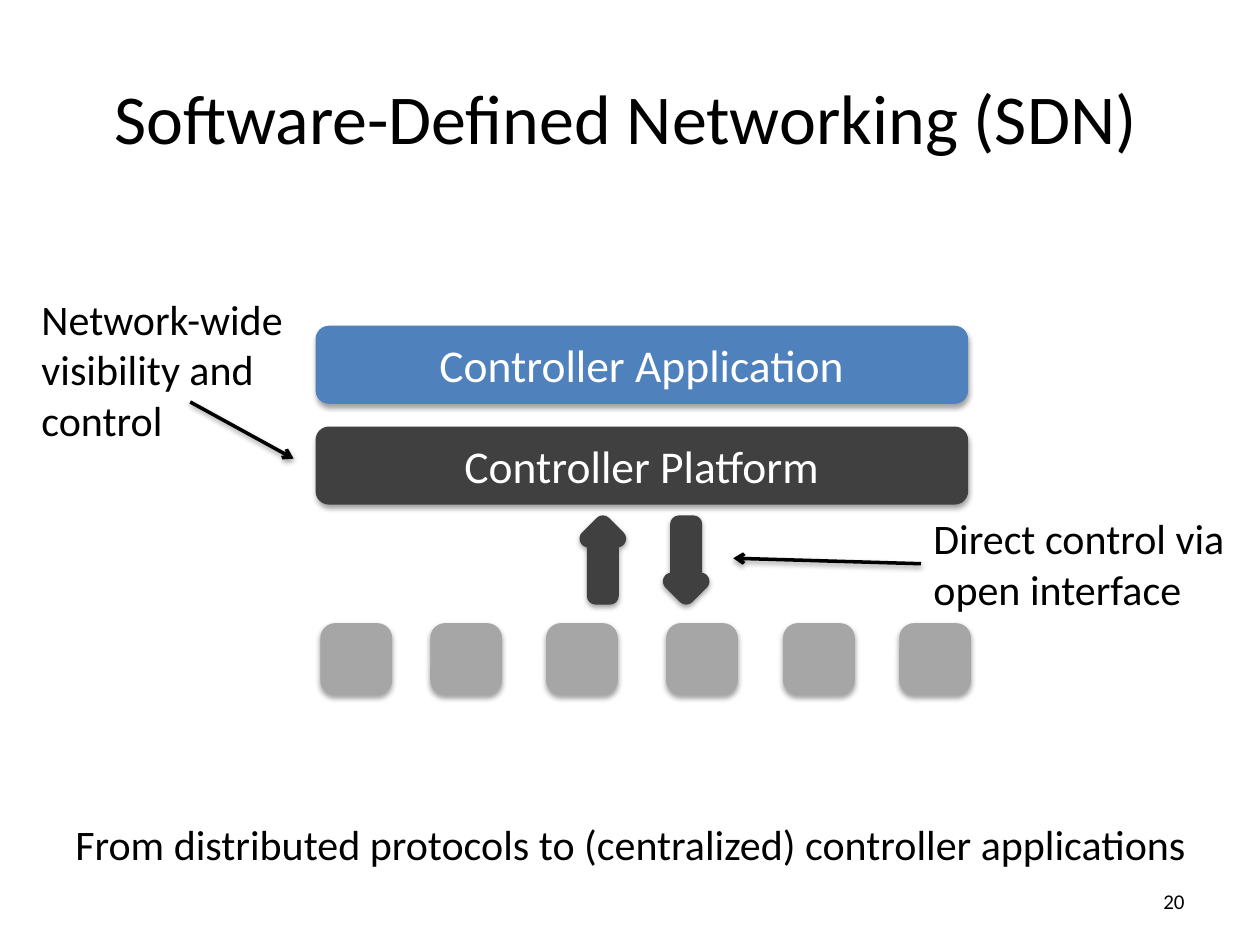
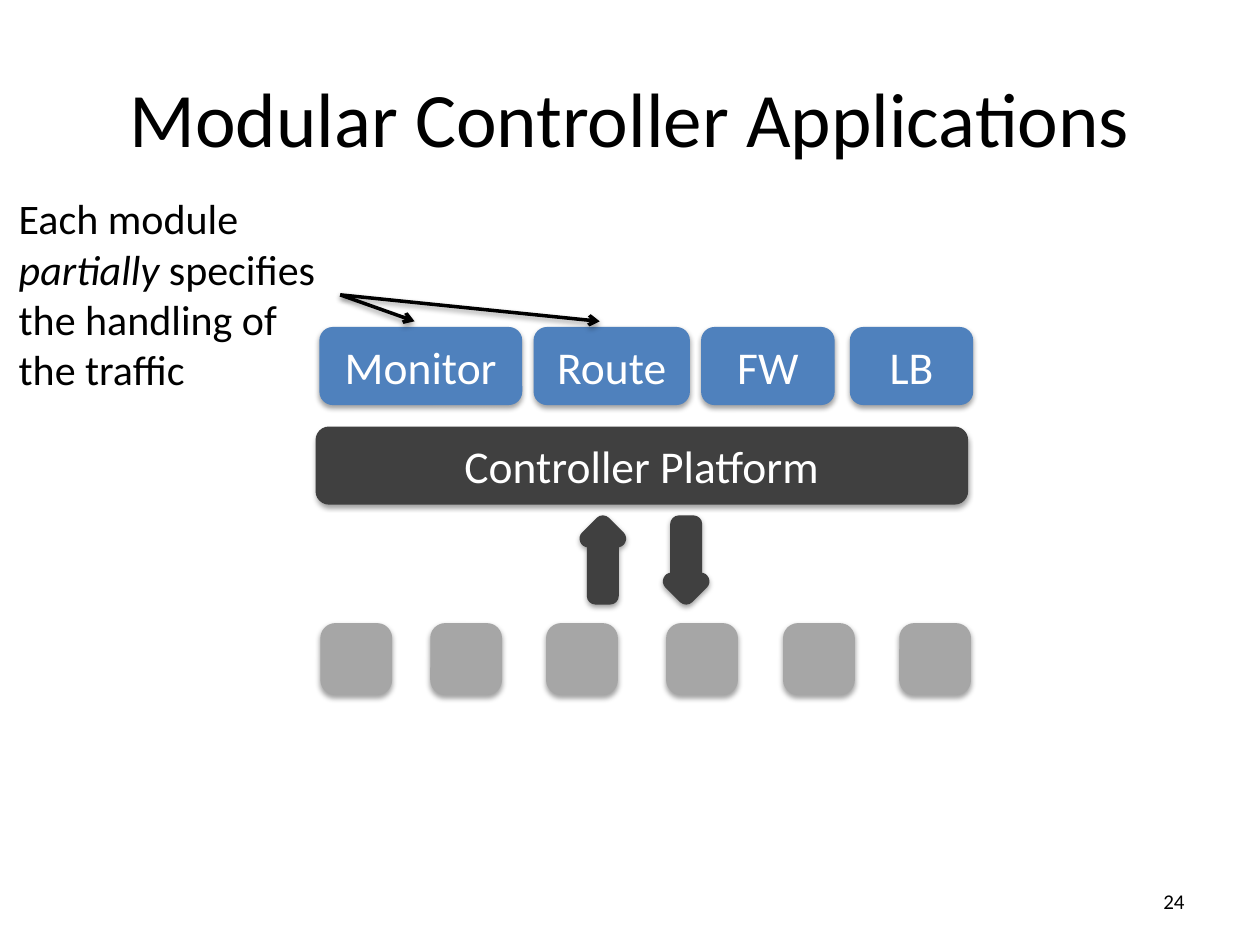
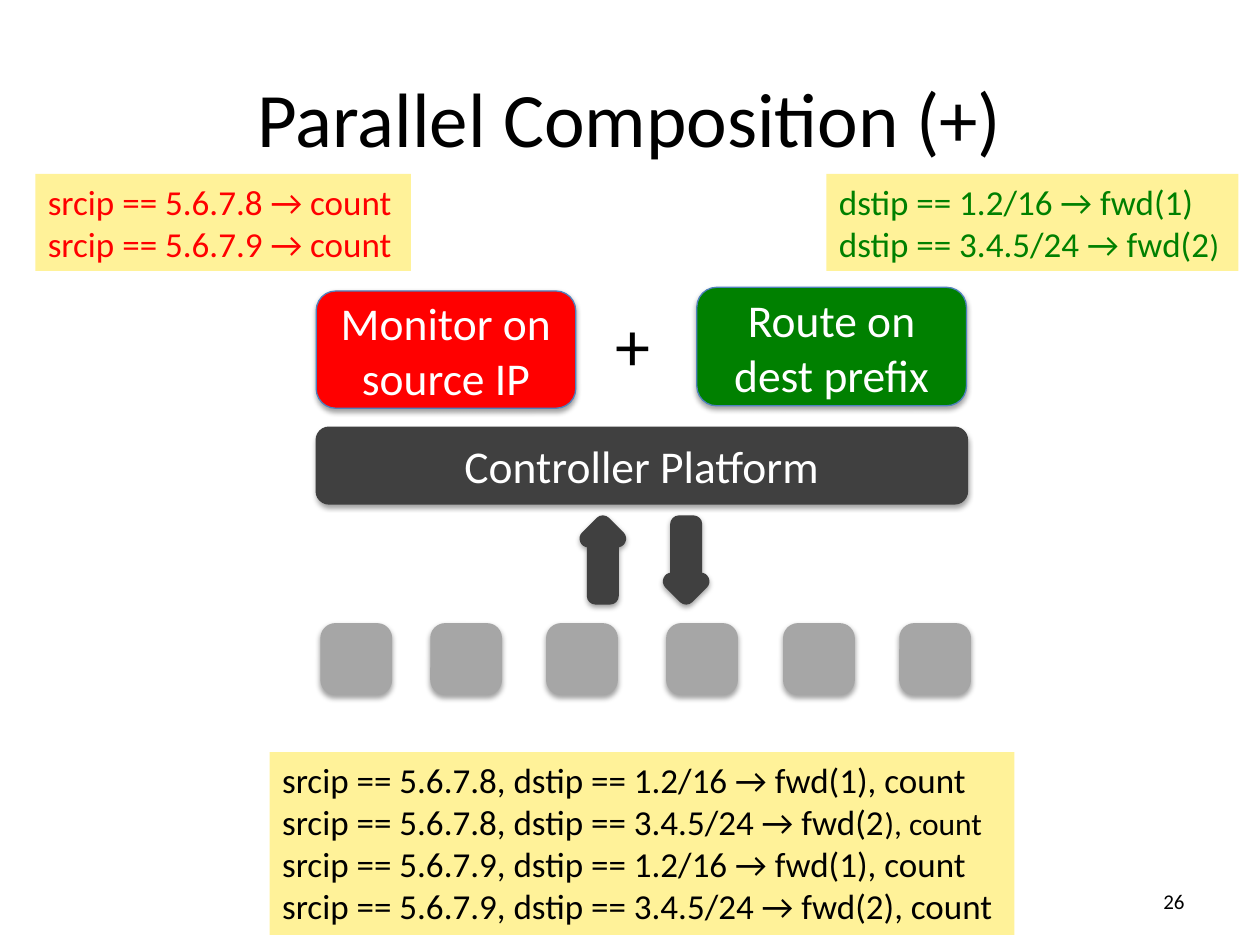
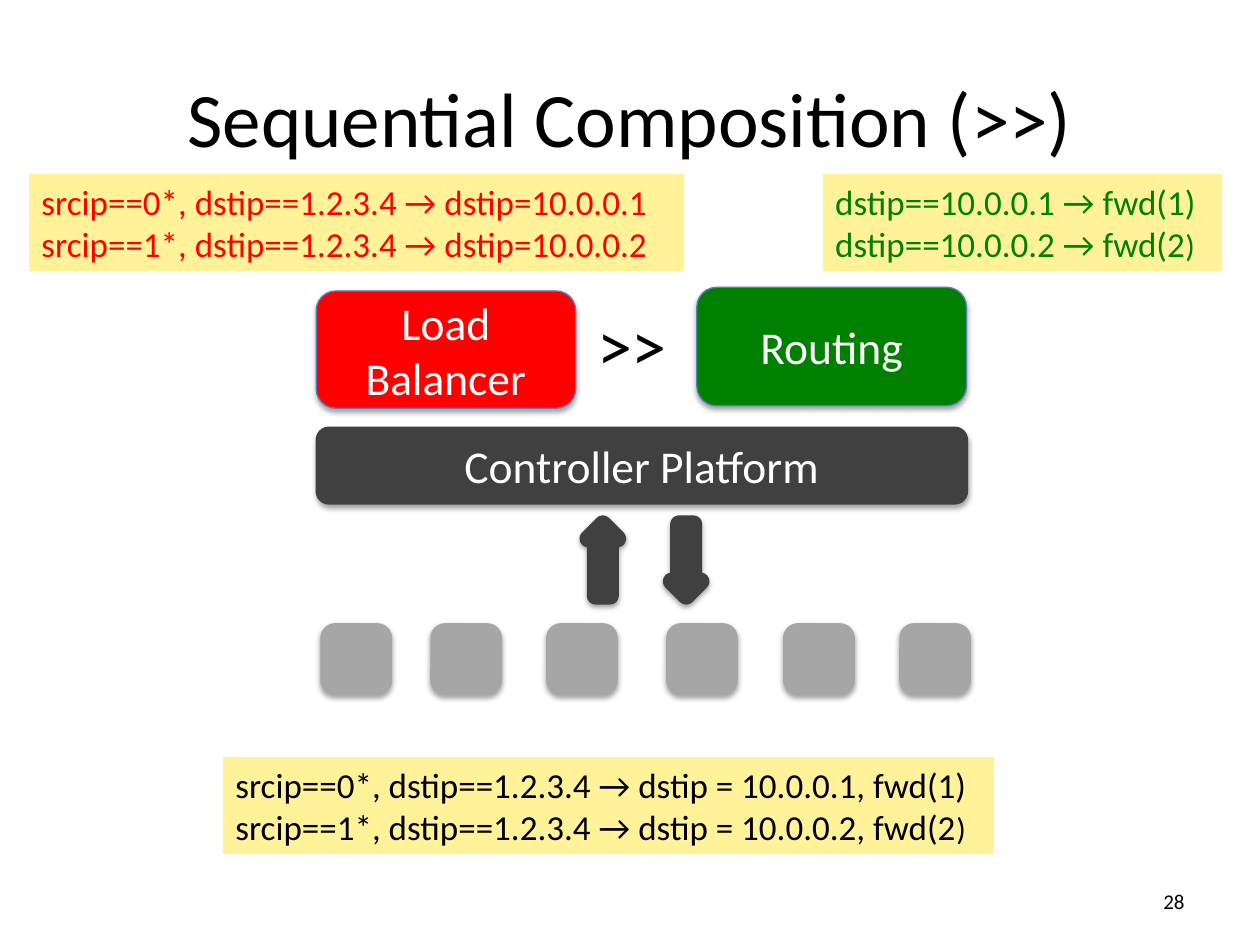
from dataclasses import dataclass

from pptx import Presentation
from pptx.dml.color import RGBColor
from pptx.enum.shapes import MSO_CONNECTOR, MSO_SHAPE
from pptx.enum.text import MSO_ANCHOR, MSO_AUTO_SIZE, PP_ALIGN
from pptx.oxml import parse_xml
from pptx.oxml.ns import nsdecls
from pptx.util import Pt

ROUNDED = MSO_SHAPE.ROUNDED_RECTANGLE
UP_ARROW = MSO_SHAPE.UP_ARROW
STRAIGHT = MSO_CONNECTOR.STRAIGHT
LEFT, CENTER, RIGHT = PP_ALIGN.LEFT, PP_ALIGN.CENTER, PP_ALIGN.RIGHT
TOP, MIDDLE = MSO_ANCHOR.TOP, MSO_ANCHOR.MIDDLE
GROW, FIXED = MSO_AUTO_SIZE.SHAPE_TO_FIT_TEXT, MSO_AUTO_SIZE.NONE
LEFT_SIDE, RIGHT_SIDE = 1, 3


@dataclass(frozen=True)
class Theme:
    font: str = "Calibri"
    black: str = "000000"
    white: str = "FFFFFF"
    blue: str = "4F81BD"
    dark: str = "404040"
    gray: str = "A6A6A6"
    red: str = "FF0000"
    green: str = "008000"
    yellow: str = "FFF299"
    title: int = 44
    long_title: int = 40
    operator: int = 40
    block: int = 26
    note: int = 24
    code: int = 20
    small_code: int = 18
    number: int = 12


theme = Theme()


def add_text(slide, box, text="", preset=None, fill=None, line=None, line_width=0.75,
             size=theme.block, color=theme.black, align=LEFT, anchor=TOP, wrap=True, fit=FIXED):
    """Add a text box, or a preset shape with a shadow.

    Text is a string or a list of paragraphs; a paragraph is a string or a list
    of runs, and a run is a string or a pair of string and font settings.
    """
    lengths = [Pt(length) for length in box]
    if preset is None:
        shape = slide.shapes.add_textbox(*lengths)
    else:
        shape = slide.shapes.add_shape(preset, *lengths)
        shape.line.color.rgb = RGBColor.from_string(line)
        shape.line.width = Pt(line_width)
        add_shadow(shape)
    if fill:
        shape.fill.solid()
        shape.fill.fore_color.rgb = RGBColor.from_string(fill)
    frame = shape.text_frame
    frame.word_wrap, frame.auto_size, frame.vertical_anchor = wrap, fit, anchor
    for index, runs in enumerate([text] if isinstance(text, str) else text):
        paragraph = frame.add_paragraph() if index else frame.paragraphs[0]
        paragraph.alignment = align
        for piece in [runs] if isinstance(runs, str) else runs:
            words, settings = (piece, {}) if isinstance(piece, str) else piece
            if words:
                run = paragraph.add_run()
                run.text = words
                run.font.name = theme.font
                run.font.size = Pt(settings.get("size", size))
                run.font.italic = settings.get("italic")
                run.font.color.rgb = RGBColor.from_string(color)
    return shape


def add_shadow(shape):
    shape._element.spPr.append(parse_xml(
        f'<a:effectLst {nsdecls("a")}><a:outerShdw blurRad="{Pt(3.1)}" dist="{Pt(1.7)}" '
        'dir="5400000" rotWithShape="0"><a:srgbClr val="000000"><a:alpha val="36000"/>'
        '</a:srgbClr></a:outerShdw></a:effectLst>'))


presentation = Presentation()
presentation.slide_width, presentation.slide_height = Pt(720), Pt(540)

# Shared frame: title, slide number, controller platform and switches
title_box = (36, 21.6, 648, 90)
long_title_box = (7.9, 21.6, 699.1, 90)
block_style = dict(preset=ROUNDED, color=theme.white, align=CENTER, anchor=MIDDLE)
note_style = dict(size=theme.note, fit=GROW)
switch_lefts = (185.6, 248.4, 314.6, 383.2, 450, 516.4)

slides = []
for title, number, box, size in (
    ("Software-Defined Networking (SDN)", "20", long_title_box, theme.long_title),
    ("Modular Controller Applications", "24", title_box, theme.title),
    ("Parallel Composition (+)", "26", title_box, theme.title),
    ("Sequential Composition (>>)", "28", title_box, theme.title),
):
    slide = presentation.slides.add_slide(presentation.slide_layouts[6])
    add_text(slide, box, title, size=size, align=CENTER, anchor=MIDDLE)
    add_text(slide, (516.2, 500.4, 167.8, 28.8), number, size=theme.number,
             align=RIGHT, anchor=MIDDLE)
    add_text(slide, (180.7, 244.1, 372.2, 43.9), "Controller Platform",
             fill=theme.dark, line=theme.dark, **block_style)
    for left, rotation in ((336.2, 0), (383.8, 180)):
        arrow = add_text(slide, (left, 299.5, 16.6, 41), preset=UP_ARROW,
                         fill=theme.dark, line=theme.dark, line_width=10)
        arrow.rotation = rotation
    for left in switch_lefts:
        add_text(slide, (left, 358.6, 36, 36), preset=ROUNDED,
                 fill=theme.gray, line=theme.gray, line_width=5)
    slides.append(slide)
sdn_slide, modular_slide, parallel_slide, sequential_slide = slides

# Software-defined networking
add_text(sdn_slide, (180.7, 186.5, 372.2, 43.9), "Controller Application",
         fill=theme.blue, line=theme.blue, **block_style)
add_text(sdn_slide, (16.6, 164.2, 185.8, 94.3), "Network-wide visibility and control", **note_style)
interface_note = add_text(sdn_slide, (526.3, 289.4, 225.4, 65.5),
                          "Direct control via open interface", **note_style)
add_text(sdn_slide, (36, 464.4, 660.2, 36),
         "From distributed protocols to (centralized) controller applications",
         wrap=False, **note_style)

# Modular controller applications
for name, left, width in (("Monitor", 182.9, 115.2), ("Route", 305.3, 88.6),
                          ("FW", 401, 75.6), ("LB", 486, 69.8)):
    add_text(modular_slide, (left, 187.2, width, 43.9), name,
             fill=theme.blue, line=theme.blue, **block_style)
module_note = add_text(
    modular_slide, (3.6, 106.6, 190.8, 123.8),
    [["Each module ", ("partially", {"italic": True}), " specifies the handling of the traffic"]],
    **note_style)

# Arrows from the notes
for slide, start, end, note, side in (
    (sdn_slide, (108.7, 229.7), (167.8, 262.1), None, None),
    (sdn_slide, (526.3, 322.2), (419, 319), interface_note, LEFT_SIDE),
    (modular_slide, (194.4, 168.5), (236.9, 183.6), module_note, RIGHT_SIDE),
    (modular_slide, (194.4, 168.5), (342.7, 183.6), module_note, RIGHT_SIDE),
):
    connector = slide.shapes.add_connector(STRAIGHT, *[Pt(length) for length in start + end])
    if note is not None:
        connector.begin_connect(note, side)
    connector.line.color.rgb = RGBColor.from_string(theme.black)
    connector.line.width = Pt(2)
    connector.line._get_or_add_ln().append(
        parse_xml(f'<a:tailEnd {nsdecls("a")} type="arrow"/>'))
    add_shadow(connector)

# Parallel and sequential composition
small_bracket = (")", {"size": theme.small_code})
for slide, first, operator, operator_box, second, rules in (
    (parallel_slide, "Monitor on source IP", "+", (344.9, 168.5, 38.2, 55.4),
     "Route on dest prefix", (
         ((20.2, 99.4, 214.6, 55.4), theme.red,
          ["srcip == 5.6.7.8 → count", "srcip == 5.6.7.9 → count"]),
         ((472.3, 99.4, 235.4, 55.4), theme.green,
          ["dstip == 1.2/16 → fwd(1)", ["dstip == 3.4.5/24 → fwd(2", small_bracket]]),
         ((154.1, 429.8, 425.5, 104.4), theme.black,
          ["srcip == 5.6.7.8, dstip == 1.2/16 → fwd(1), count",
           ["srcip == 5.6.7.8, dstip == 3.4.5/24 → fwd(2",
            ("), count", {"size": theme.small_code})],
           "srcip == 5.6.7.9, dstip == 1.2/16 → fwd(1), count",
           "srcip == 5.6.7.9, dstip == 3.4.5/24 → fwd(2), count"]))),
    (sequential_slide, "Load Balancer", ">>", (334.1, 168.5, 61.9, 55.4), "Routing", (
        ((16.6, 99.4, 374.4, 55.4), theme.red,
         ["srcip==0*, dstip==1.2.3.4 → dstip=10.0.0.1",
          "srcip==1*, dstip==1.2.3.4 → dstip=10.0.0.2"]),
        ((470.2, 99.4, 228.2, 55.4), theme.green,
         ["dstip==10.0.0.1 → fwd(1)", ["dstip==10.0.0.2 → fwd(2", small_bracket]]),
        ((127.4, 432.7, 440.6, 55.4), theme.black,
         ["srcip==0*, dstip==1.2.3.4 → dstip = 10.0.0.1, fwd(1)",
          ["srcip==1*, dstip==1.2.3.4 → dstip = 10.0.0.2, fwd(2", small_bracket]]))),
):
    add_text(slide, (180.7, 166.3, 148.3, 67), first,
             fill=theme.red, line=theme.blue, **block_style)
    add_text(slide, operator_box, operator, size=theme.operator, wrap=False, fit=GROW)
    add_text(slide, (398.2, 164.2, 154.1, 67.7), second,
             fill=theme.green, line=theme.blue, **block_style)
    for box, color, lines in rules:
        add_text(slide, box, lines, fill=theme.yellow, size=theme.code, color=color,
                 wrap=False, fit=GROW)

presentation.save("out.pptx")
